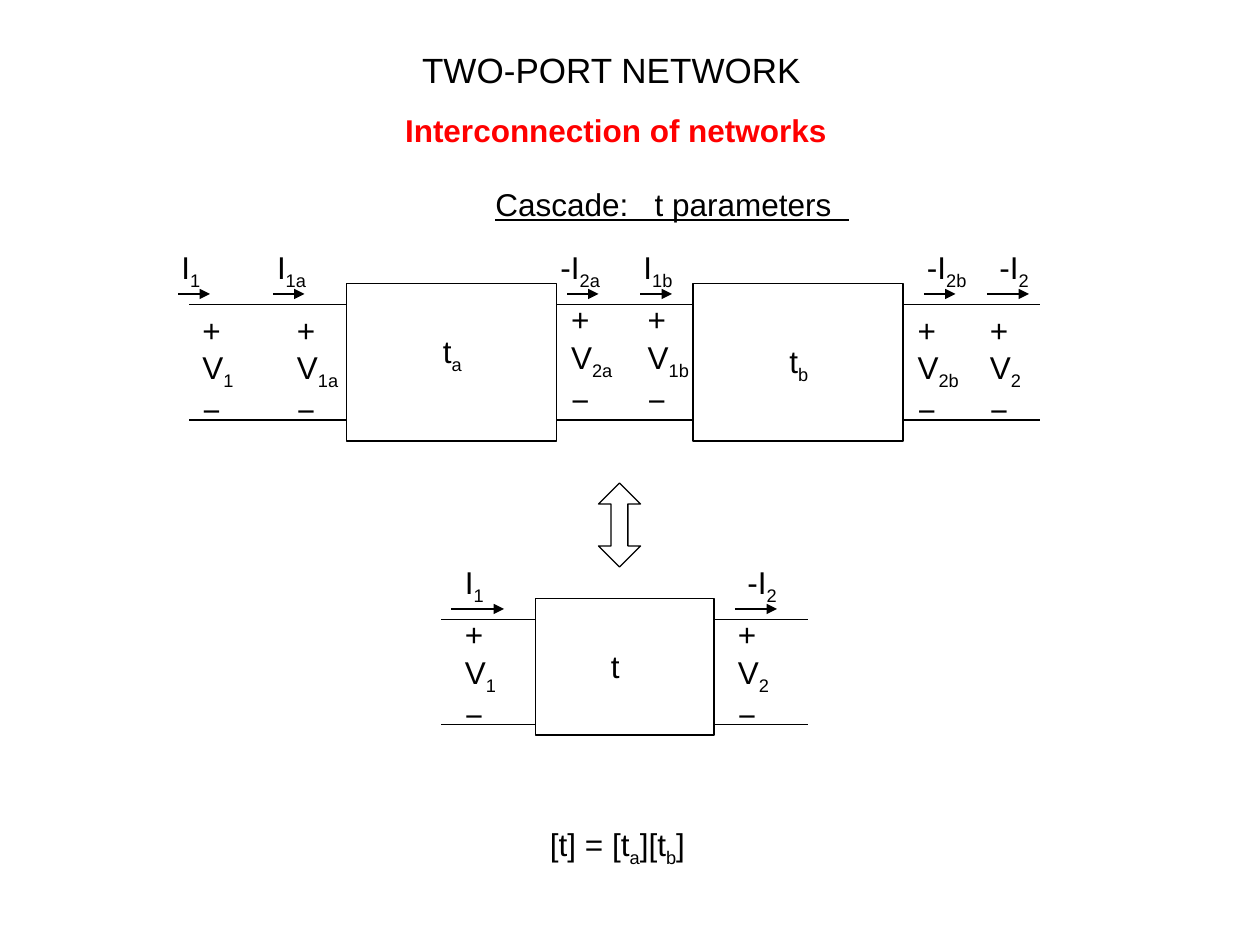
from lxml.etree import SubElement
from pptx import Presentation
from pptx.dml.color import RGBColor
from pptx.enum.shapes import MSO_CONNECTOR as Conn, MSO_SHAPE as Shape
from pptx.enum.text import MSO_ANCHOR as Anchor, MSO_AUTO_SIZE as AutoSize, PP_ALIGN as Align
from pptx.oxml.ns import qn
from pptx.util import Inches, Pt

COLS, ROWS = 120, 90  # grid of the 10 x 7.5 inch slide
BLACK, WHITE, RED = "000000", "FFFFFF", "FF0000"


def rgb(hex_color):
    return RGBColor.from_string(hex_color)


class Sketch:
    """Draws circuit elements; all lengths are grid columns and rows."""
    font, size, weight = "Arial", 18, 0.75

    def __init__(self, prs):
        self.s = prs.slides.add_slide(prs.slide_layouts[5])
        self.dx, self.dy = prs.slide_width / COLS, prs.slide_height / ROWS

    def box(self, x, y, w, h):
        return [round(v) for v in (x * self.dx, y * self.dy, w * self.dx, h * self.dy)]

    def fill_text(self, sp, lines, size=None, color=BLACK, bold=False, underline=False, wrap=False):
        """Fills sp; every second piece between ~ marks is a subscript."""
        tf = sp.text_frame
        tf.word_wrap, tf.auto_size, tf.vertical_anchor = wrap, AutoSize.NONE, Anchor.TOP
        for i, line in enumerate(lines):
            p = tf.add_paragraph() if i else tf.paragraphs[0]
            p.alignment = Align.LEFT
            for j, piece in enumerate(line.split("~")):
                if piece:
                    r = p.add_run()
                    r.text = piece
                    if j % 2:
                        r._r.get_or_add_rPr().set("baseline", "-25000")
            f = p.font
            f.name, f.size, f.bold, f.underline = self.font, Pt(size or self.size), bold, underline
            f.color.rgb = rgb(color)

    def title(self, text, x, y, w, h, size):
        sp = self.s.shapes.title
        sp.left, sp.top, sp.width, sp.height = self.box(x, y, w, h)
        self.fill_text(sp, [text], size=size)

    def text(self, lines, x, y, w, h=5.2, **style):
        sp = self.s.shapes.add_textbox(*self.box(x, y, w, h))
        self.fill_text(sp, lines, **style)

    def shape(self, kind, x, y, w, h, fill=None):
        sp = self.s.shapes.add_shape(kind, *self.box(x, y, w, h))
        sp.shadow.inherit = False
        if fill:
            sp.fill.solid()
            sp.fill.fore_color.rgb = rgb(fill)
        else:
            sp.fill.background()
        sp.line.color.rgb, sp.line.width = rgb(BLACK), Pt(self.weight)
        return sp

    def line(self, x, y, length, arrow=False):
        left, top, width, _ = self.box(x, y, length, 0)
        c = self.s.shapes.add_connector(Conn.STRAIGHT, left, top, left + width, top)
        c.line.color.rgb, c.line.width = rgb(BLACK), Pt(self.weight)
        if arrow:
            SubElement(c.line._get_or_add_ln(), qn("a:tailEnd"), type="triangle")
        SubElement(c._element.spPr, qn("a:effectLst"))

    def current(self, label, x, y, start, length):
        """Label at column x above an arrow on row y."""
        self.text([label], x, y - 5, 4.2 + (len(label) - 3))
        self.line(start, y, length, arrow=True)

    def voltage(self, sub, x, y):
        self.text(["+", f"V~{sub}", "−"], x, y, 4.4 + len(sub), 12.5)


def main():
    prs = Presentation()
    prs.slide_width, prs.slide_height = Inches(10), Inches(7.5)
    sk = Sketch(prs)

    # Headings
    sk.title("TWO-PORT NETWORK", 39, 4, 38.5, 5.2, size=20)
    sk.text(["Interconnection of networks"], 37.4, 10, 42.6, 4.8, color=RED, bold=True)
    sk.text(["Cascade:   t parameters  "], 46, 17, 37, 4.8, underline=True, wrap=True)

    # Wires: column, row, length
    for wire in [(18, 29, 81), (18, 40, 81), (42, 59, 35), (42, 69, 35)]:
        sk.line(*wire)

    # Networks: block, then its name
    for name, block, spot in [
        ("t~a", (33, 27, 20, 15), (41, 31)),
        ("t~b", (66, 27, 20, 15), (74, 32)),
        ("t", (51, 57, 17, 13), (57, 61)),
    ]:
        sk.shape(Shape.RECTANGLE, *block, fill=WHITE)
        sk.text([name], *spot, 4.2 if "~" in name else 3.2)

    # Currents: label, label column, arrow row, arrow start, arrow length
    for current in [
        ("I~1", 16.1, 28, 17, 3), ("I~1a", 25.2, 28, 26, 3),
        ("-I~2a", 52.2, 28, 54, 3), ("I~1b", 60.1, 28, 61, 3),
        ("-I~2b", 87.1, 28, 88, 3), ("-I~2", 94, 28, 94, 4),
        ("I~1", 43.1, 58, 43, 5), ("-I~2", 70, 58, 70, 4),
    ]:
        sk.current(*current)

    # Port voltages: subscript, column, row
    for voltage in [
        ("1", 18.1, 29), ("1a", 27.1, 29), ("2a", 53.2, 28), ("1b", 60.5, 28),
        ("2b", 86.2, 29), ("2", 93.1, 29), ("1", 43.1, 58), ("2", 69.1, 58),
    ]:
        sk.voltage(*voltage)

    # Equivalence arrow and resulting formula
    arrow = sk.shape(Shape.UP_DOWN_ARROW, 57, 46, 4, 8)
    arrow.adjustments[0], arrow.adjustments[1] = 0.5, 0.4
    sk.text(["[t] = [t~a~][t~b~]"], 51.2, 78, 15.2)

    prs.save("out.pptx")


if __name__ == "__main__":
    main()
